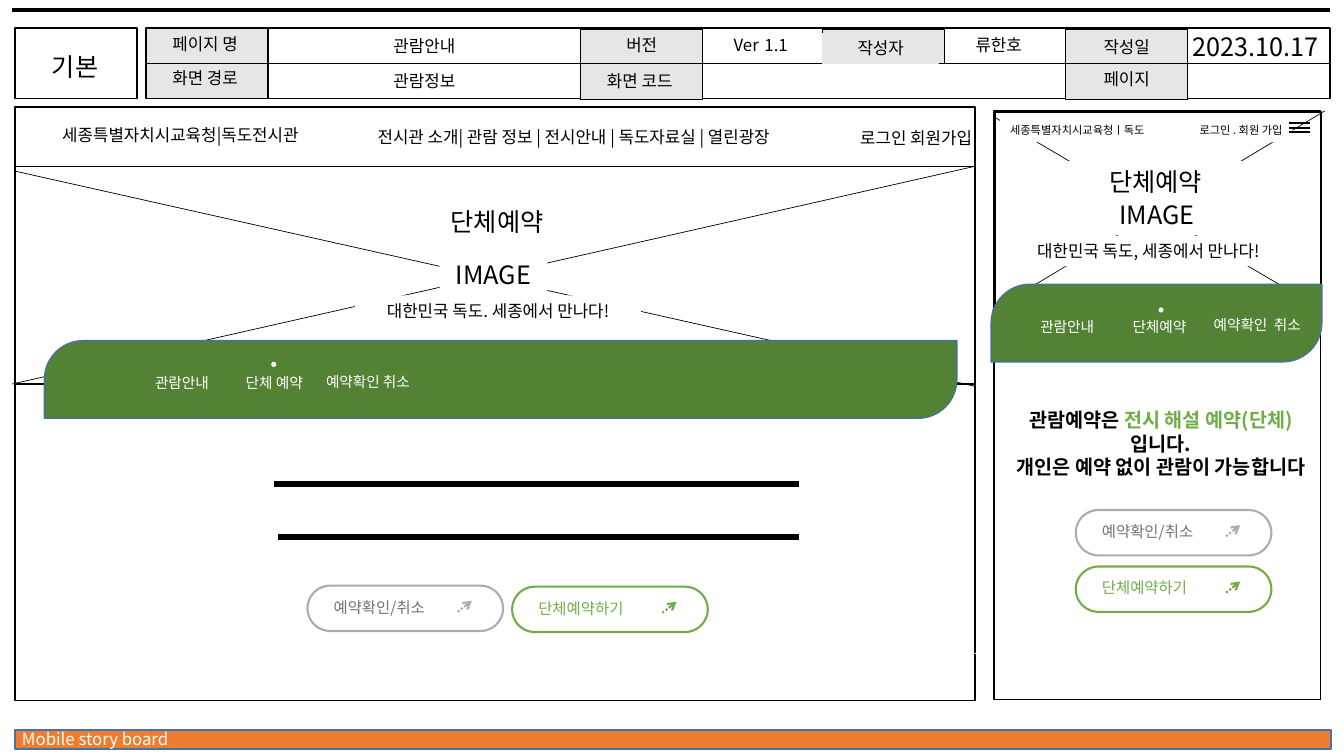
from dataclasses import dataclass
from typing import Optional

from lxml.etree import SubElement
from pptx import Presentation
from pptx.dml.color import RGBColor
from pptx.enum.dml import MSO_LINE
from pptx.enum.shapes import MSO_CONNECTOR, MSO_SHAPE
from pptx.enum.text import MSO_ANCHOR, MSO_AUTO_SIZE, PP_ALIGN
from pptx.oxml.ns import qn
from pptx.util import Emu, Pt

EMU_PER_PX = 9144  # 100 px to the inch
FONT = "Noto Sans CJK KR"
COLORS = {
    "black": "000000", "white": "FFFFFF", "cell": "E7E6E6", "orange": "ED7D31",
    "blue": "43739E", "nav": "548235", "green": "70AD47", "gray": "AFABAB",
    "dark gray": "767171",
}
LEFT, CENTER, RIGHT = PP_ALIGN.LEFT, PP_ALIGN.CENTER, PP_ALIGN.RIGHT


@dataclass(frozen=True)
class Panel:
    left: int
    top: int
    width: int
    height: int
    fill: Optional[str] = None
    line: Optional[str] = "black"
    weight: float = 1
    kind: MSO_SHAPE = MSO_SHAPE.RECTANGLE
    adjust: tuple[float, ...] = ()


@dataclass(frozen=True)
class Rule:
    x1: int
    y1: int
    x2: int
    y2: int
    weight: float = 0.5
    color: str = "black"
    arrow: bool = False


@dataclass(frozen=True)
class Span:
    text: str
    color: Optional[str] = None
    size: Optional[float] = None


@dataclass(frozen=True)
class Label:
    left: int
    top: int
    width: int
    height: int
    lines: tuple[tuple[Span, ...], ...]
    size: float = 12
    color: str = "black"
    align: PP_ALIGN = CENTER
    fill: Optional[str] = None
    line: Optional[str] = None
    bold: bool = False


@dataclass(frozen=True)
class Button:
    left: int
    top: int
    text: str
    color: str
    text_color: str


def px(value: int) -> Emu:
    return Emu(value * EMU_PER_PX)


def rgb(name: str) -> RGBColor:
    return RGBColor.from_string(COLORS[name])


def label(left: int, top: int, width: int, height: int, text: str, **style) -> Label:
    return Label(left, top, width, height, ((Span(text),),), **style)


def paint(shape, fill: Optional[str], line: Optional[str], weight: float) -> None:
    if fill:
        shape.fill.solid()
        shape.fill.fore_color.rgb = rgb(fill)
    else:
        shape.fill.background()
    if line:
        shape.line.color.rgb = rgb(line)
        shape.line.width = Pt(weight)
    else:
        shape.line.fill.background()


def draw_panel(page, item: Panel) -> None:
    shape = page.shapes.add_shape(
        item.kind, *map(px, (item.left, item.top, item.width, item.height)))
    shape.shadow.inherit = False
    for index, value in enumerate(item.adjust):
        shape.adjustments[index] = value
    paint(shape, item.fill, item.line, item.weight)


def draw_rule(page, item: Rule) -> None:
    rule = page.shapes.add_connector(
        MSO_CONNECTOR.STRAIGHT, *map(px, (item.x1, item.y1, item.x2, item.y2)))
    rule.line.color.rgb = rgb(item.color)
    rule.line.width = Pt(item.weight)
    properties = rule._element.spPr
    if item.arrow:
        rule.line.dash_style = MSO_LINE.ROUND_DOT
        SubElement(properties.find(qn("a:ln")), qn("a:tailEnd"), type="arrow")
    SubElement(properties, qn("a:effectLst"))


def write_text(box, item: Label) -> None:
    frame = box.text_frame
    frame.word_wrap = True
    frame.auto_size = MSO_AUTO_SIZE.SHAPE_TO_FIT_TEXT
    frame.vertical_anchor = MSO_ANCHOR.TOP
    for index, spans in enumerate(item.lines):
        para = frame.add_paragraph() if index else frame.paragraphs[0]
        para.alignment = item.align
        para.line_spacing = 1.0
        font = para.font
        font.name, font.size, font.bold = FONT, Pt(item.size), item.bold
        font.color.rgb = rgb(item.color)
        SubElement(para._p.pPr.find(qn("a:defRPr")), qn("a:ea"), typeface=FONT)
        for span in spans:
            run = para.add_run()
            run.text = span.text
            if span.color:
                run.font.color.rgb = rgb(span.color)
            if span.size:
                run.font.size = Pt(span.size)


def draw_label(page, item: Label) -> None:
    box = page.shapes.add_textbox(
        *map(px, (item.left, item.top, item.width, item.height)))
    paint(box, item.fill, item.line, 0.75)
    write_text(box, item)


def draw_title(page, item: Label) -> None:
    title = page.shapes.title
    title.left, title.top = px(item.left), px(item.top)
    title.width, title.height = px(item.width), px(item.height)
    write_text(title, item)


def draw_button(page, item: Button) -> None:
    x, y = item.left, item.top
    draw_panel(page, Panel(x, y, 194, 45, "white", item.color, 1.5,
                           MSO_SHAPE.ROUNDED_RECTANGLE, (0.5,)))
    draw_label(page, label(x + 16, y + 7, 118, 29, item.text, size=11,
                           color=item.text_color, align=LEFT))
    draw_rule(page, Rule(x + 149, y + 26, x + 163, y + 15, 1.5, item.color, True))


def nav_bar(left: int, top: int, width: int) -> Panel:
    return Panel(left, top, width, 77, "nav", "blue",
                 kind=MSO_SHAPE.ROUND_2_DIAG_RECTANGLE, adjust=(0.5, 0))


def nav_dot(left: int, top: int) -> Panel:
    return Panel(left, top, 5, 5, "white", None, kind=MSO_SHAPE.OVAL)


DRAW = {Panel: draw_panel, Rule: draw_rule, Label: draw_label, Button: draw_button}
NAV = {"size": 10.5, "color": "white"}
WHITE_BOX = {"fill": "white"}
CAPTION = {"size": 8, "fill": "white"}

# Top rule, footer and document header
HEADER = [
    Rule(12, 10, 1319, 10, 3),
    Panel(15, 724, 1305, 19, "orange", "blue"),
    label(12, 718, 320, 30, "Mobile story board", color="white", align=LEFT),
    Panel(15, 28, 121, 70),
    Panel(145, 28, 1174, 70),
    *(Panel(x, y, 121, height, "cell")
      for x, y, height in ((145, 28, 70), (576, 29, 70), (816, 29, 34), (1057, 29, 70))),
    Rule(145, 63, 1319, 63),
    label(17, 46, 115, 42, "기본", size=18),
    label(146, 29, 115, 30, "페이지 명"),
    label(146, 62, 115, 30, "화면 경로"),
    label(306, 31, 230, 30, "관람안내"),
    label(306, 65, 230, 30, "관람정보"),
    label(579, 30, 115, 30, "버전"),
    label(577, 65, 115, 30, "화면 코드"),
    Label(654, 21, 201, 40, ((Span("Ver"), Span(" ", size=18), Span("1.1")),)),
    label(816, 33, 115, 30, "작성자", line="cell"),
    label(890, 30, 201, 30, "류한호"),
    label(1060, 32, 115, 30, "작성일"),
    label(1060, 63, 115, 30, "페이지"),
    label(1145, 26, 201, 40, "2023.10.17", size=18),
]

# Desktop screen
TITLE = label(402, 200, 182, 40, "단체예약", size=18)
DESKTOP = [
    Panel(15, 106, 952, 589),
    Panel(15, 165, 952, 216),
    label(26, 119, 306, 30, "세종특별자치시교육청|독도전시관"),
    label(337, 121, 464, 30, "전시관 소개| 관람 정보 | 전시안내 | 독도자료실 | 열린광장"),
    label(583, 122, 391, 30, "로그인 회원가입", align=RIGHT),
    Rule(53, 315, 969, 649, color="white"),
    Rule(12, 381, 967, 165),
    Rule(16, 170, 966, 383),
    label(436, 252, 107, 40, "IMAGE", size=18, **WHITE_BOX),
    label(352, 293, 284, 30, "대한민국 독도. 세종에서 만나다!", **WHITE_BOX),
    nav_bar(44, 338, 905),
    label(133, 366, 95, 29, "관람안내", **NAV),
    nav_dot(269, 359),
    label(213, 366, 118, 29, "단체 예약", **NAV),
    label(306, 365, 118, 29, "예약확인 취소", **NAV),
    Rule(272, 480, 792, 480, 4.5),
    Rule(276, 533, 792, 533, 4.5),
    Button(305, 581, "예약확인/취소", "gray", "dark gray"),
    Button(508, 582, "단체예약하기", "green", "green"),
]

# Mobile screen
NOTICE = (
    (Span("관람예약은 "), Span("전시 해설 예약(단체)", "green"), Span("입니다.")),
    (Span("개인은 예약 없이 관람이 가능합니다"),),
)
MOBILE = [
    Panel(987, 111, 324, 200, "white"),
    Panel(986, 110, 324, 584),
    Rule(984, 308, 1314, 110),
    Rule(1311, 307, 986, 116),
    label(992, 117, 187, 24, "세종특별자치시교육청ㅣ독도", align=LEFT, **CAPTION),
    label(1158, 117, 124, 24, "로그인 . 회원 가입", align=RIGHT, **CAPTION),
    *(Rule(1278, y, 1299, y, 1) for y in (122, 127, 131)),
    label(1094, 193, 107, 40, "IMAGE", size=18, **WHITE_BOX),
    label(997, 234, 284, 30, "대한민국 독도, 세종에서 만나다!", **WHITE_BOX),
    label(1055, 160, 182, 40, "단체예약", size=18, **WHITE_BOX),
    nav_bar(983, 282, 328),
    label(1011, 310, 95, 29, "관람안내", **NAV),
    nav_dot(1149, 305),
    label(1091, 310, 118, 29, "단체예약", **NAV),
    label(1183, 308, 128, 28, "예약확인  취소", **NAV),
    Label(992, 400, 319, 104, NOTICE, size=14, bold=True),
    Button(1067, 506, "예약확인/취소", "gray", "dark gray"),
    Button(1067, 562, "단체예약하기", "green", "green"),
]


def main() -> None:
    deck = Presentation()
    deck.slide_width, deck.slide_height = px(1333), px(750)
    page = deck.slides.add_slide(deck.slide_layouts[5])
    draw_title(page, TITLE)
    for item in HEADER + DESKTOP + MOBILE:
        DRAW[type(item)](page, item)
    deck.save("out.pptx")


if __name__ == "__main__":
    main()
